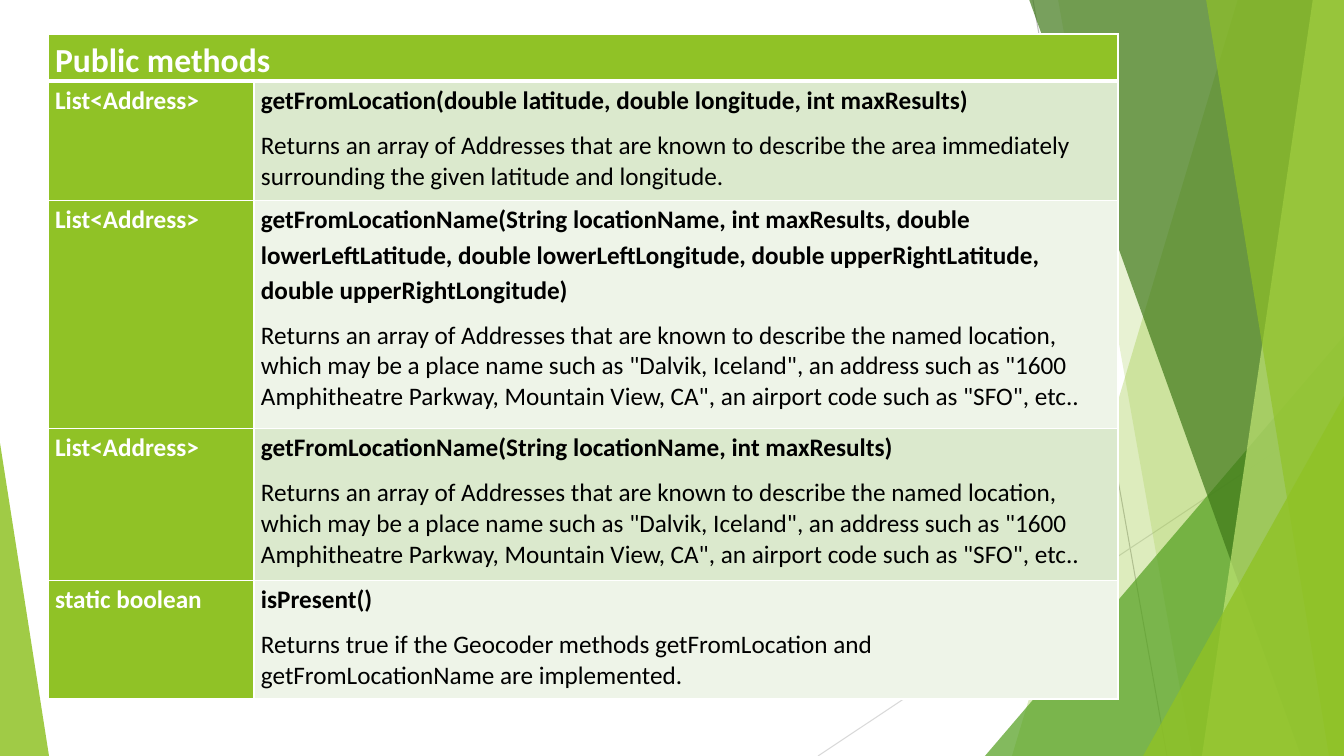
"""Build the slide listing the public methods of the geocoder class."""
from pptx import Presentation
from pptx.dml.color import RGBColor
from pptx.enum.shapes import MSO_CONNECTOR, MSO_SHAPE
from pptx.oxml.ns import qn
from pptx.util import Emu, Pt
from lxml import etree

STRAIGHT = MSO_CONNECTOR.STRAIGHT
TRIANGLE = MSO_SHAPE.ISOSCELES_TRIANGLE
EMU_PER_PX = 914400 / 100.8
WIDTH, HEIGHT, TOP = 1344, 756, -1
FONT = "Calibri"
COLORS = {
    "white": "FFFFFF", "black": "000000", "green": "90C226", "leaf": "54A021",
    "forest": "3F7819", "lime": "C0E474", "band": "DBE9CD", "pale": "EEF4E8",
    "gray": "BFBFBF", "silver": "D9D9D9",
}
NAMED_LOCATION = (
    "Returns an array of Addresses that are known to describe the named location, "
    'which may be a place name such as "Dalvik, Iceland", an address such as '
    '"1600 Amphitheatre Parkway, Mountain View, CA", an airport code such as "SFO", etc..'
)
METHODS = [
    ("List<Address>",
     "getFromLocation(double latitude, double longitude, int maxResults)",
     "Returns an array of Addresses that are known to describe the area immediately "
     "surrounding the given latitude and longitude."),
    ("List<Address>",
     "getFromLocationName(String locationName, int maxResults, double lowerLeftLatitude, "
     "double lowerLeftLongitude, double upperRightLatitude, double upperRightLongitude)",
     NAMED_LOCATION),
    ("List<Address>",
     "getFromLocationName(String locationName, int maxResults)",
     NAMED_LOCATION),
    ("static boolean",
     "isPresent()",
     "Returns true if the Geocoder methods getFromLocation and getFromLocationName "
     "are implemented."),
]
COLUMN_WIDTHS = [206, 864]
ROW_HEIGHTS = [47, 119, 228, 152, 119]


def px(length):
    return Emu(round(length * EMU_PER_PX))


def rgb(name):
    return RGBColor.from_string(COLORS[name])


def write(paragraph, text, size=18, color="black", bold=False, spacing=1.0, after=0):
    paragraph.line_spacing = spacing
    paragraph.space_after = Pt(after)
    run = paragraph.add_run()
    run.text = text
    run.font.name = FONT
    run.font.size = Pt(size)
    run.font.bold = bold
    run.font.color.rgb = rgb(color)


class SlideBuilder:
    def __init__(self, slide):
        self.slide = slide
        self.shapes = slide.shapes

    def line(self, start, end, color):
        connector = self.shapes.add_connector(STRAIGHT, *map(px, start + end))
        connector.line.color.rgb = rgb(color)
        connector.line.width = Pt(0.75)
        etree.SubElement(connector.element.spPr, qn("a:effectLst"))

    def paint(self, shape, color, opacity):
        shape.shadow.inherit = False
        shape.line.fill.background()
        shape.fill.solid()
        shape.fill.fore_color.rgb = rgb(color)
        fill_color = shape.element.spPr.find(qn("a:solidFill"))[0]
        etree.SubElement(fill_color, qn("a:alpha"), val=str(opacity * 1000))

    def facet(self, top_left, bottom_left, color, opacity):
        builder = self.shapes.build_freeform(top_left, TOP, scale=EMU_PER_PX)
        builder.add_line_segments([(WIDTH, TOP), (WIDTH, HEIGHT), (bottom_left, HEIGHT)])
        self.paint(builder.convert_to_shape(), color, opacity)

    def triangle(self, left, top, width, apex, color, opacity):
        shape = self.shapes.add_shape(
            TRIANGLE, px(left), px(top), px(width), px(HEIGHT - top))
        shape.adjustments[0] = apex
        self.paint(shape, color, opacity)

    def style_cell(self, cell, fill, top=1, bottom=1):
        cell.margin_left = cell.margin_right = px(7)
        cell.margin_top = cell.margin_bottom = 0
        properties = cell._tc.get_or_add_tcPr()
        for side, width in (("L", 1), ("R", 1), ("T", top), ("B", bottom)):
            border = etree.SubElement(properties, qn(f"a:ln{side}"), w=str(Pt(width)))
            border_fill = etree.SubElement(border, qn("a:solidFill"))
            etree.SubElement(border_fill, qn("a:srgbClr"), val=COLORS["white"])
        cell.fill.solid()
        cell.fill.fore_color.rgb = rgb(fill)

    def methods_table(self, left, top, title, methods):
        table = self.shapes.add_table(
            len(ROW_HEIGHTS), len(COLUMN_WIDTHS), px(left), px(top),
            px(sum(COLUMN_WIDTHS)), px(sum(ROW_HEIGHTS))).table
        table.first_row = table.horz_banding = False
        for column, width in zip(table.columns, COLUMN_WIDTHS):
            column.width = px(width)
        for row, height in zip(table.rows, ROW_HEIGHTS):
            row.height = px(height)
        heading = table.cell(0, 0)
        heading.merge(table.cell(0, 1))
        for column in range(2):
            self.style_cell(table.cell(0, column), "green", bottom=3)
        write(heading.text_frame.paragraphs[0], title,
              size=24, color="white", bold=True, spacing=1.15)
        for index, (result, signature, description) in enumerate(methods, start=1):
            result_cell, method_cell = table.cell(index, 0), table.cell(index, 1)
            top_border = 3 if index == 1 else 1
            self.style_cell(result_cell, "green", top=top_border)
            self.style_cell(method_cell, "band" if index % 2 else "pale", top=top_border)
            for cell, text, color in ((result_cell, result, "white"),
                                      (method_cell, signature, "black")):
                write(cell.text_frame.paragraphs[0], text,
                      color=color, bold=True, spacing=1.15, after=10)
            write(method_cell.text_frame.add_paragraph(), description)


def main():
    presentation = Presentation()
    presentation.slide_width, presentation.slide_height = px(WIDTH), px(HEIGHT)
    slide = presentation.slides.add_slide(presentation.slide_layouts[6])
    builder = SlideBuilder(slide)
    builder.line((1033, 0), (1167, HEIGHT), "gray")
    builder.line((WIDTH, 406), (818, HEIGHT), "silver")
    builder.facet(1238, 1012, "green", 30)
    builder.facet(1058, 1192, "green", 20)
    builder.triangle(985, 336, 359, 1, "leaf", 72)
    builder.facet(1029, 1301, "forest", 70)
    builder.facet(1313, 1202, "lime", 70)
    builder.facet(1206, 1329, "green", 65)
    builder.triangle(1143, 396, 201, 1, "green", 80)
    builder.triangle(0, 443, 49, 0, "green", 85)
    builder.methods_table(48, 34, "Public methods", METHODS)
    presentation.save("out.pptx")


if __name__ == "__main__":
    main()
